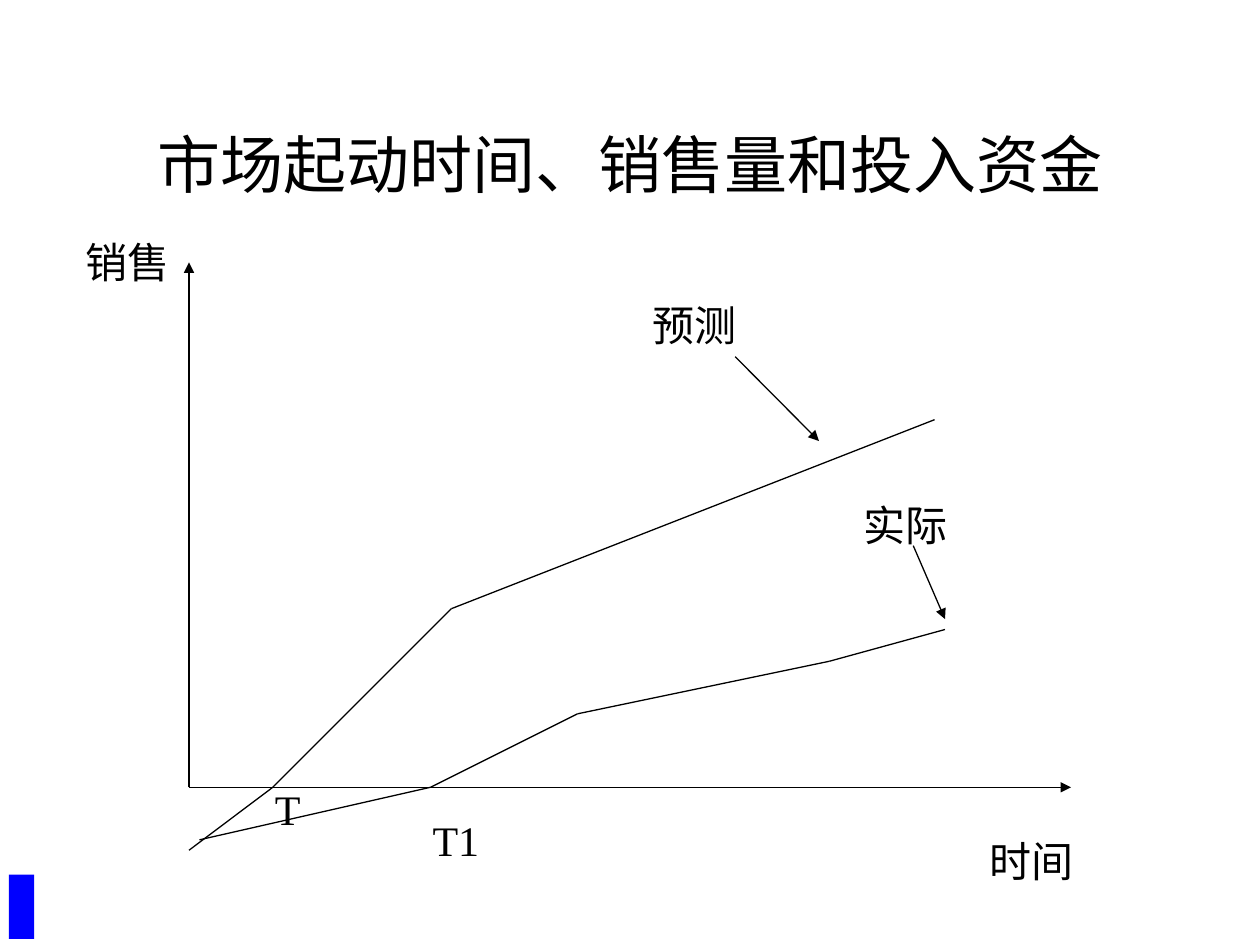
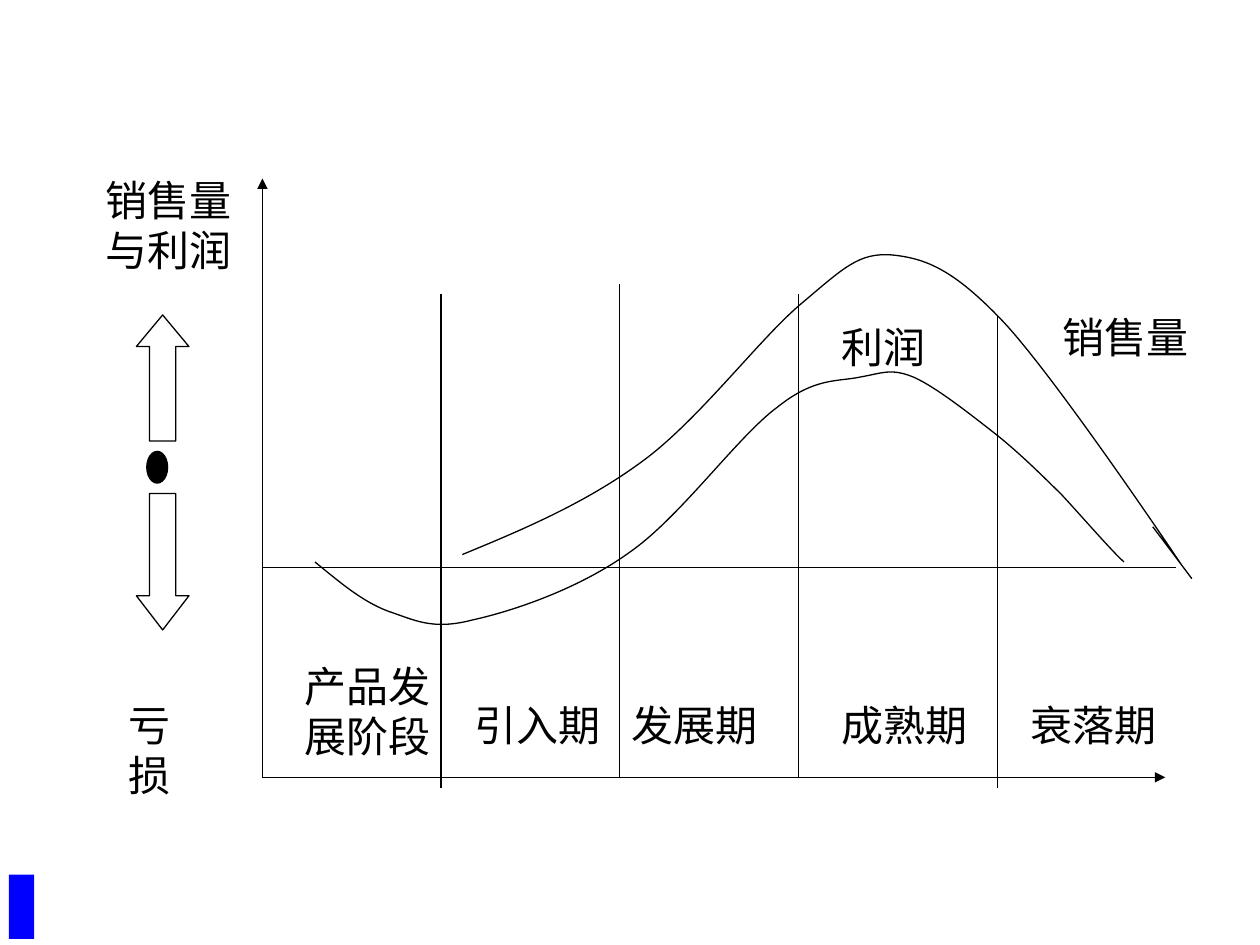
from dataclasses import dataclass

from pptx import Presentation
from pptx.dml.color import RGBColor
from pptx.enum.shapes import MSO_CONNECTOR, MSO_SHAPE
from pptx.enum.text import MSO_ANCHOR, PP_ALIGN
from pptx.oxml.ns import qn
from pptx.oxml.xmlchemy import OxmlElement
from pptx.util import Cm, Pt

STRAIGHT = MSO_CONNECTOR.STRAIGHT
RECTANGLE = MSO_SHAPE.RECTANGLE
UP_ARROW = MSO_SHAPE.UP_ARROW
DOWN_ARROW = MSO_SHAPE.DOWN_ARROW
DOT = MSO_SHAPE.FLOWCHART_CONNECTOR
MIDDLE = MSO_ANCHOR.MIDDLE
LEFT = PP_ALIGN.LEFT
CENTER = PP_ALIGN.CENTER

COLORS = {"ink": "000000", "paper": "FFFFFF", "marker": "0000FF"}
FONT = "Times New Roman"
LINE_WIDTH = Pt(0.75)
LABEL_HEIGHT = 1.27
TITLE_LAYOUT, BLANK_LAYOUT = 5, 6

FORECAST = [(0, -1.27), (1.69, 0), (5.29, 3.6), (15.03, 7.41)]
ACTUAL = [(0.21, -1.06), (4.87, 0), (7.83, 1.48), (12.91, 2.54), (15.24, 3.18)]
POINTERS = [((14.6, 4.87), (15.24, 3.39)), ((11.01, 8.68), (12.7, 6.98))]
LAUNCH_LABELS = [
    ("销售", -2.33, 11.22, 2.54),
    ("T1", 4.66, -0.42, 2.12),
    ("预测", 9.1, 9.95, 3.39),
    ("实际", 13.34, 5.93, 3.81),
    ("时间", 15.88, -0.85, 3.81),
    ("T", 1.48, 0.21, 1.27),
]

STAGE_DIVIDERS = [(3.6, 9.74, -0.21), (7.2, 9.95, 0), (10.8, 9.74, 0), (14.82, 9.31, -0.21)]
SALES_CURVE = [
    (4.03, 4.49),
    (5.27, 5), (6.52, 5.53), (7.66, 6.37),
    (8.81, 7.21), (10.05, 8.88), (10.89, 9.57),
    (11.73, 10.28), (12.03, 10.58), (12.69, 10.53),
    (13.38, 10.46), (13.94, 10.23), (14.93, 9.19),
    (15.89, 8.17), (18.05, 5), (18.53, 4.28),
    (19.04, 3.6), (18.51, 4.31), (17.95, 5.05),
]
PROFIT_CURVE = [
    (1.06, 4.34),
    (1.54, 3.95), (2, 3.55), (2.53, 3.35),
    (3.07, 3.17), (3.42, 2.96), (4.23, 3.17),
    (5.05, 3.35), (6.39, 3.8), (7.41, 4.54),
    (8.43, 5.25), (9.59, 6.88), (10.38, 7.46),
    (11.14, 8.07), (11.6, 7.97), (12.06, 8.07),
    (12.51, 8.15), (12.67, 8.25), (13.12, 8.07),
    (13.58, 7.87), (14.32, 7.28), (14.83, 6.88),
    (15.31, 6.49), (15.66, 6.14), (16.1, 5.71),
    (16.5, 5.28), (17.14, 4.54), (17.37, 4.34),
]
CYCLE_LABELS = [
    ("引入期", 4.03, 1.69, 4.24),
    ("发展期", 7.2, 1.69, 3.6),
    ("成熟期", 11.43, 1.69, 3.81),
    ("衰落期", 15.24, 1.69, 4.02),
    ("利润", 11.43, 9.31, 3.18),
    ("销售量", 15.88, 9.52, 3.18),
]


@dataclass
class Box:
    """A region in centimetres whose inner points rise from its lower left corner."""

    left: float
    top: float
    width: float
    height: float

    def at(self, x, y):
        """Return the page position of an inner point."""
        return Cm(self.left + x), Cm(self.top + self.height - y)


def color(name):
    """Return a named colour."""
    return RGBColor.from_string(COLORS[name])


def write(frame, text, size=24, align=LEFT, wrap=True):
    """Fill a text frame, one paragraph to each line of text."""
    frame.word_wrap = wrap
    frame.text = text
    for para in frame.paragraphs:
        para.alignment = align
        for span in para.runs:
            span.font.name = FONT
            span.font.size = Pt(size)
            span.font.color.rgb = color("ink")


def add_label(page, box, text, x, y, width, wrap=True):
    """Place a label with its upper left corner at an inner point."""
    height = LABEL_HEIGHT + 1.02 * text.count("\n")
    label = page.shapes.add_textbox(*box.at(x, y), Cm(width), Cm(height))
    write(label.text_frame, text, wrap=wrap)


def add_line(page, box, start, end, arrow=False):
    """Draw a thin straight line, with an arrowhead at its end if asked."""
    line = page.shapes.add_connector(STRAIGHT, *box.at(*start), *box.at(*end))
    line.line.color.rgb = color("ink")
    line.line.width = LINE_WIDTH
    properties = line._element.spPr
    if arrow:
        head = OxmlElement("a:tailEnd")
        head.set("type", "triangle")
        properties.find(qn("a:ln")).append(head)
    properties.append(OxmlElement("a:effectLst"))


def add_curve(page, box, points):
    """Draw a start point and triples of Bezier points as one open curve."""
    positions = [box.at(*point) for point in points]
    builder = page.shapes.build_freeform(*positions[0], scale=1.0)
    builder.add_line_segments(positions[1:], close=False)
    curve = builder.convert_to_shape()
    curve.shadow.inherit = False
    curve.fill.background()
    curve.line.color.rgb = color("ink")
    curve.line.width = LINE_WIDTH
    outline = next(curve._element.iter(qn("a:path")))
    steps = outline.findall(qn("a:lnTo"))
    for first in range(0, len(steps), 3):
        bend = OxmlElement("a:cubicBezTo")
        for step in steps[first:first + 3]:
            bend.append(step[0])
            outline.remove(step)
        outline.append(bend)


def add_solid(page, box, kind, x, y, width, height, fill, outlined=True):
    """Place a filled preset shape with its upper left corner at an inner point."""
    solid = page.shapes.add_shape(kind, *box.at(x, y), Cm(width), Cm(height))
    solid.shadow.inherit = False
    solid.fill.solid()
    solid.fill.fore_color.rgb = color(fill)
    if outlined:
        solid.line.color.rgb = color("ink")
        solid.line.width = LINE_WIDTH
    else:
        solid.line.fill.background()
    return solid


def add_axes(page, box):
    """Draw both axes along the left and lower edges of the box."""
    for end in [(0, box.height), (box.width, 0)]:
        add_line(page, box, (0, 0), end, arrow=True)


def add_title(page, box, text):
    """Move and format the title placeholder."""
    title = page.shapes.title
    title.left, title.top = Cm(box.left), Cm(box.top)
    title.width, title.height = Cm(box.width), Cm(box.height)
    title.text_frame.vertical_anchor = MIDDLE
    write(title.text_frame, text, size=36, align=CENTER)


def add_corner_marker(page, box):
    """Fill the box at the page corner."""
    add_solid(page, box, RECTANGLE, 0, box.height, box.width, box.height, "marker", outlined=False)


def add_launch_plot(page, box):
    """Draw forecast and actual sales over time."""
    add_axes(page, box)
    for track in (FORECAST, ACTUAL):
        for start, end in zip(track, track[1:]):
            add_line(page, box, start, end)
    for start, end in POINTERS:
        add_line(page, box, start, end, arrow=True)
    for label in LAUNCH_LABELS:
        add_label(page, box, *label)


def add_cycle_plot(page, box):
    """Draw sales and profit through the stages of a product's life."""
    add_axes(page, box)
    add_line(page, box, (0, 4.23), (18.42, 4.23))
    for x, upper, lower in STAGE_DIVIDERS:
        add_line(page, box, (x, upper), (x, lower))
    for points in (SALES_CURVE, PROFIT_CURVE):
        add_curve(page, box, points)
    add_label(page, box, "产品发\n展阶段", 0.6, 2.48, 3.05, wrap=False)
    for label in CYCLE_LABELS:
        add_label(page, box, *label)


def add_gain_loss_scale(page, box):
    """Stack the gain and loss arrows between their labels."""
    add_label(page, box, "销售量\n与利润", 0, box.height, box.width, wrap=False)
    gain = add_solid(page, box, UP_ARROW, 0.87, 8.89, 1.06, 2.54, "paper")
    add_solid(page, box, DOT, 1.08, 6.14, 0.42, 0.64, "ink")
    loss = add_solid(page, box, DOWN_ARROW, 0.87, 5.29, 1.06, 2.75, "paper")
    gain.adjustments[1], loss.adjustments[1] = 0.6, 0.65
    add_label(page, box, "亏损", 0.46, 1.27, 2.18, wrap=False)


def add_page(deck, layout):
    """Add a white page with the corner marker."""
    page = deck.slides.add_slide(deck.slide_layouts[layout])
    page.background.fill.solid()
    page.background.fill.fore_color.rgb = color("paper")
    add_corner_marker(page, Box(0.18, 17.63, 0.51, 1.3))
    return page


def main():
    """Build and save the deck."""
    deck = Presentation()
    deck.slide_width, deck.slide_height = Cm(25.4), Cm(19.05)

    launch = add_page(deck, TITLE_LAYOUT)
    add_title(launch, Box(1.9, 1.7, 21.6, 3.18), "市场起动时间、销售量和投入资金")
    add_launch_plot(launch, Box(3.81, 5.29, 17.78, 10.58))

    cycle = add_page(deck, BLANK_LAYOUT)
    add_cycle_plot(cycle, Box(5.29, 3.6, 18.2, 12.07))
    add_gain_loss_scale(cycle, Box(1.88, 3.39, 3.05, 11.85))

    deck.save("out.pptx")


if __name__ == "__main__":
    main()
